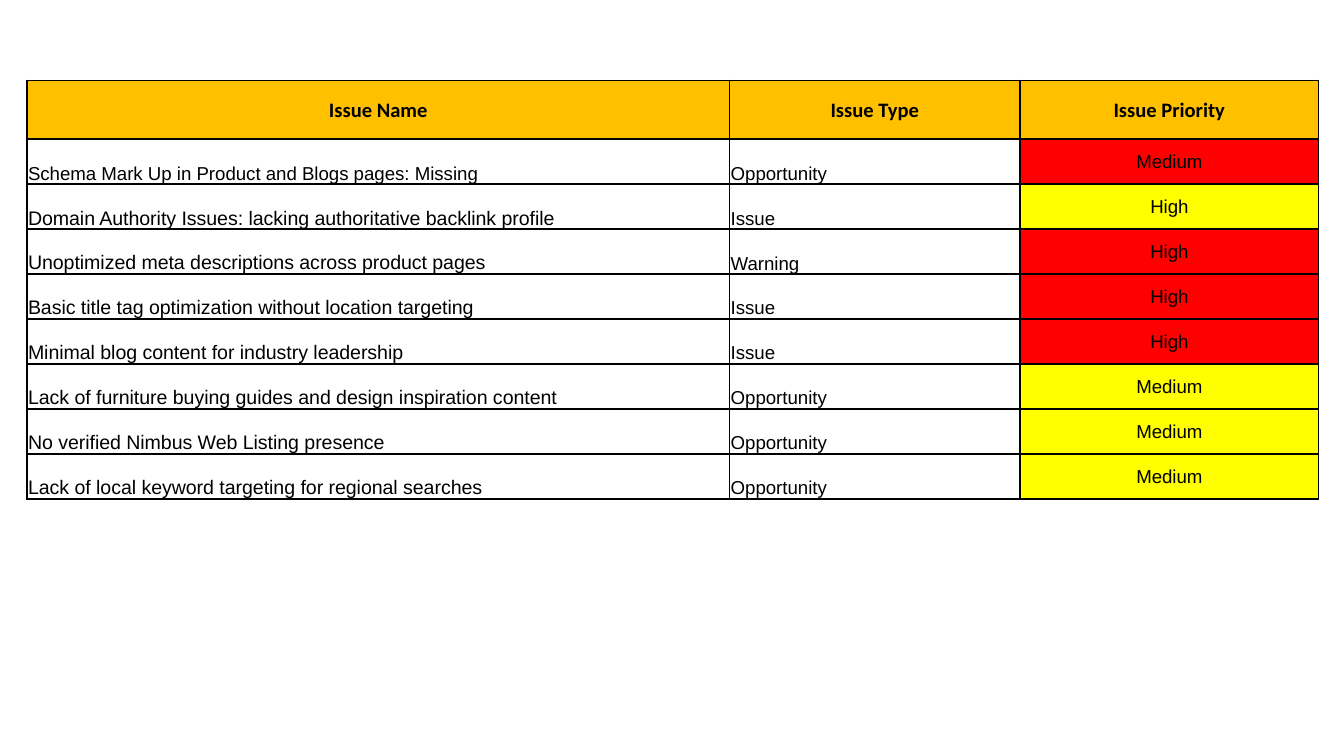
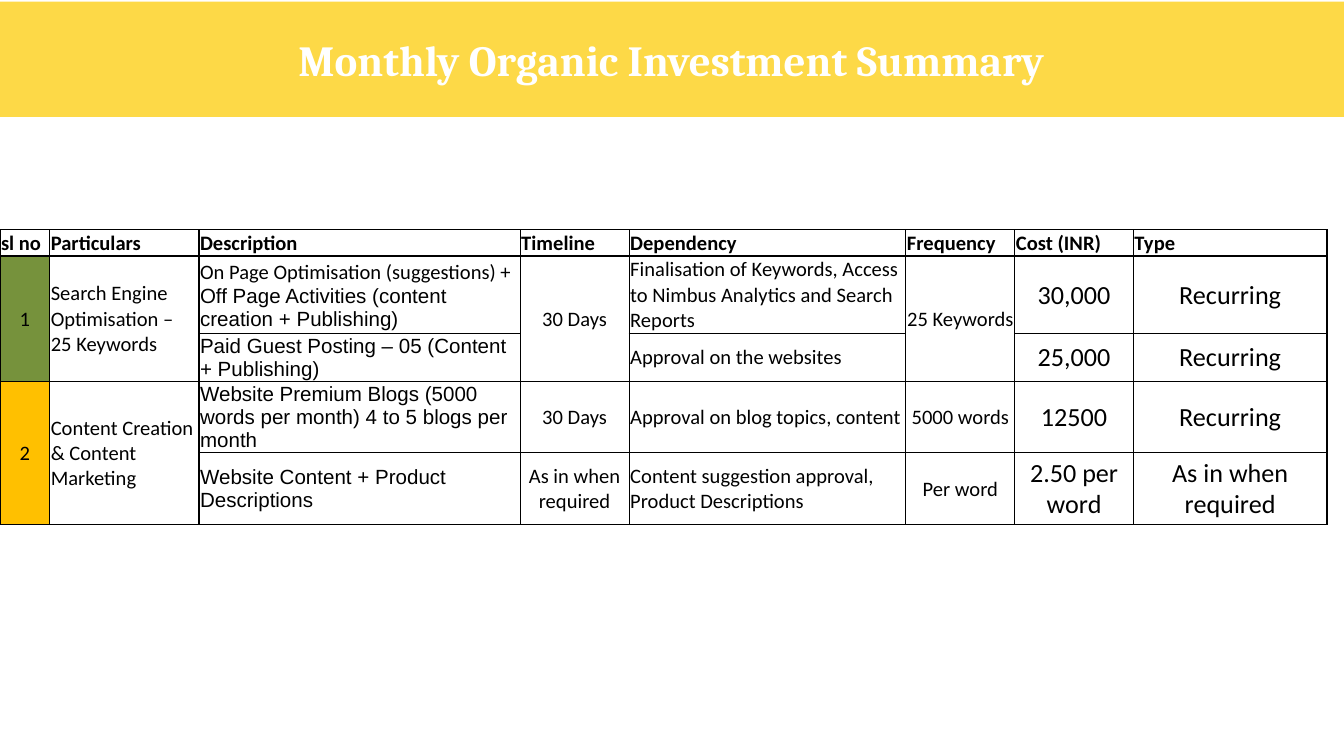
from lxml.etree import SubElement
from pptx import Presentation
from pptx.dml.color import RGBColor
from pptx.enum.text import MSO_ANCHOR, MSO_AUTO_SIZE, PP_ALIGN
from pptx.oxml.ns import qn
from pptx.util import Cm, Pt

BLACK = RGBColor(0x00, 0x00, 0x00)
WHITE = RGBColor(0xFF, 0xFF, 0xFF)
BANNER = RGBColor(0xFD, 0xD9, 0x47)
AMBER = RGBColor(0xFF, 0xC0, 0x00)
RED = RGBColor(0xFF, 0x00, 0x00)
YELLOW = RGBColor(0xFF, 0xFF, 0x00)
GREEN = RGBColor(0x76, 0x92, 0x3C)

TITLE_ONLY, BLANK = 5, 6
LEFT, CENTER = PP_ALIGN.LEFT, PP_ALIGN.CENTER
MIDDLE, BOTTOM = MSO_ANCHOR.MIDDLE, MSO_ANCHOR.BOTTOM


def write(para, text, font="Calibri", size=11, color=BLACK, bold=False, align=LEFT):
    """Append a formatted span to a paragraph."""
    para.alignment = align
    span = para.add_run()
    span.text = text
    span.font.name = font
    span.font.size = Pt(size)
    span.font.bold = bold
    span.font.color.rgb = color


class SlideBuilder:
    """Holds the shared style and the current slide."""

    def __init__(self, deck):
        self.deck = deck
        self.slide = None

    def new_slide(self, layout):
        self.slide = self.deck.slides.add_slide(self.deck.slide_layouts[layout])

    def title_band(self, text):
        box = self.slide.shapes.title
        box.left, box.top, box.width, box.height = Cm(0), Cm(0.03), Cm(25.4), Cm(2.18)
        box.fill.solid()
        box.fill.fore_color.rgb = BANNER
        frame = box.text_frame
        frame.auto_size = MSO_AUTO_SIZE.NONE
        frame.vertical_anchor = MIDDLE
        write(frame.paragraphs[0], text, font="Cambria", size=23, color=WHITE,
              bold=True, align=CENTER)

    def table(self, left, top, widths, heights, border):
        frame = self.slide.shapes.add_table(
            len(heights), len(widths), Cm(left), Cm(top),
            Cm(sum(widths)), Cm(sum(heights)))
        table = frame.table
        table.first_row = table.horz_banding = False
        for column, width in zip(table.columns, widths):
            column.width = Cm(width)
        for row, height in zip(table.rows, heights):
            row.height = Cm(height)
        for cell in table.iter_cells():
            cell.margin_left = cell.margin_right = cell.margin_top = Cm(0.02)
            cell.margin_bottom = 0
            cell.fill.background()
            self.borders(cell, border)
        return table

    def borders(self, cell, points):
        properties = cell._tc.get_or_add_tcPr()
        for index, side in enumerate(("lnL", "lnR", "lnT", "lnB")):
            line = SubElement(properties, qn(f"a:{side}"), w=str(Pt(points)))
            fill = SubElement(line, qn("a:solidFill"))
            SubElement(fill, qn("a:srgbClr"), val=str(BLACK))
            properties.insert(index, line)

    def cell(self, cell, text, fill=None, anchor=MIDDLE, **style):
        """Fill a cell with a text, or with a list of (text, font) spans."""
        cell.vertical_anchor = anchor
        if fill is not None:
            cell.fill.solid()
            cell.fill.fore_color.rgb = fill
        para = cell.text_frame.paragraphs[0]
        if isinstance(text, str):
            write(para, text, **style)
        else:
            for part, font in text:
                write(para, part, **{**style, "font": font})


# Content of the issue table
ISSUE_HEADS = ("Issue Name", "Issue Type", "Issue Priority")
ISSUES = (
    ("Schema Mark Up in Product and Blogs pages: Missing", "Opportunity", "Medium", RED),
    ("Domain Authority Issues: lacking authoritative backlink profile", "Issue", "High", YELLOW),
    ("Unoptimized meta descriptions across product pages", "Warning", "High", RED),
    ("Basic title tag optimization without location targeting", "Issue", "High", RED),
    ("Minimal blog content for industry leadership", "Issue", "High", RED),
    ("Lack of furniture buying guides and design inspiration content",
     "Opportunity", "Medium", YELLOW),
    ("No verified Nimbus Web Listing presence", "Opportunity", "Medium", YELLOW),
    ("Lack of local keyword targeting for regional searches", "Opportunity", "Medium", YELLOW),
)

# Content of the investment table; None continues the cell above
COST_HEADS = ("sl no", "Particulars", "Description", "Timeline", "Dependency",
              "Frequency", "Cost (INR)", "Type")
COSTS = (
    ("1", "Search Engine Optimisation – 25 Keywords",
     [("On Page Optimisation (suggestions) +", "Calibri"),
      (" Off Page Activities (content creation + Publishing)", "Arial")],
     "30 Days", "Finalisation of Keywords, Access to Nimbus Analytics and Search Reports",
     "25 Keywords", "30,000", "Recurring"),
    (None, None, "Paid Guest Posting – 05 (Content + Publishing)", None,
     "Approval on the websites", None, "25,000", "Recurring"),
    ("2", "Content Creation & Content Marketing",
     "Website Premium Blogs (5000 words per month) 4 to 5 blogs per month",
     "30 Days", "Approval on blog topics, content", "5000 words", "12500", "Recurring"),
    (None, None, "Website Content + Product Descriptions", "As in when required",
     "Content suggestion approval, Product Descriptions", "Per word",
     "2.50 per word", "As in when required"),
)
COST_STYLES = (
    {"align": CENTER}, {}, {"font": "Arial"}, {"align": CENTER}, {},
    {"align": CENTER}, {"align": CENTER, "size": 14}, {"align": CENTER, "size": 14},
)
NUMBER_FILLS = {"1": GREEN, "2": AMBER}


def issue_slide(builder):
    builder.new_slide(BLANK)
    table = builder.table(0.51, 1.52, (13.28, 5.49, 5.64),
                          [1.11] + [0.85] * len(ISSUES), border=1)
    for column, head in enumerate(ISSUE_HEADS):
        builder.cell(table.cell(0, column), head, fill=AMBER, bold=True, align=CENTER)
    for row, (name, kind, priority, color) in enumerate(ISSUES, 1):
        builder.cell(table.cell(row, 0), name, anchor=BOTTOM, font="Arial",
                     size=10 if row == 1 else 10.5)
        builder.cell(table.cell(row, 1), kind, anchor=BOTTOM, font="Arial", size=10)
        builder.cell(table.cell(row, 2), priority, fill=color, font="Arial",
                     size=10, align=CENTER)


def investment_slide(builder):
    builder.new_slide(TITLE_ONLY)
    builder.title_band("Monthly Organic Investment Summary")
    table = builder.table(0, 4.34, (0.94, 2.82, 6.07, 2.06, 5.23, 2.06, 2.24, 3.66),
                          (0.46, 1.35, 0.91, 1.35, 1.35), border=0.75)
    for column, head in enumerate(COST_HEADS):
        builder.cell(table.cell(0, column), head, anchor=BOTTOM, bold=True)
    for row, values in enumerate(COSTS, 1):
        for column, (value, style) in enumerate(zip(values, COST_STYLES)):
            cell = table.cell(row, column)
            if value is None:
                table.cell(row - 1, column).merge(cell)
                continue
            fill = NUMBER_FILLS[value] if column == 0 else None
            builder.cell(cell, value, fill=fill, **style)


def main():
    deck = Presentation()
    deck.slide_width, deck.slide_height = Cm(25.4), Cm(14.29)
    builder = SlideBuilder(deck)
    issue_slide(builder)
    investment_slide(builder)
    deck.save("out.pptx")


if __name__ == "__main__":
    main()
